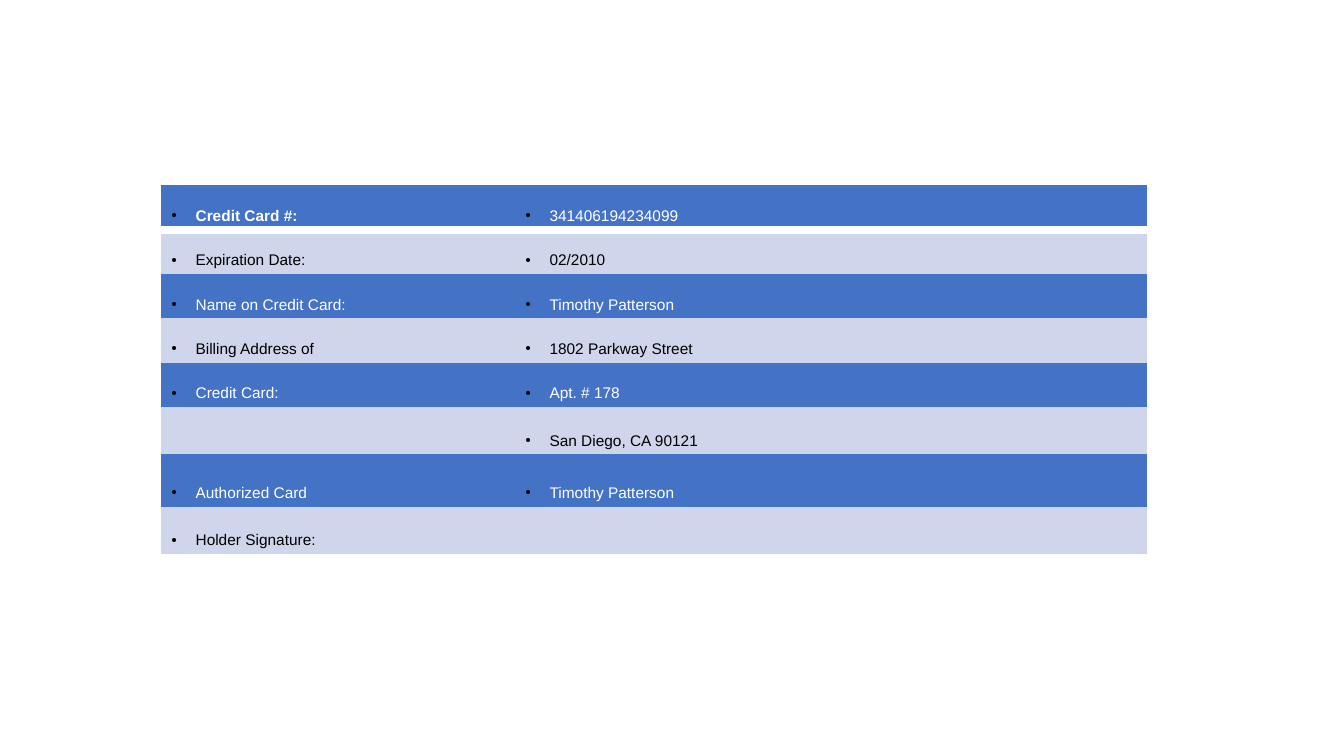
from lxml.etree import SubElement
from pptx import Presentation
from pptx.dml.color import RGBColor
from pptx.enum.text import MSO_ANCHOR
from pptx.oxml import parse_xml
from pptx.oxml.ns import nsdecls, qn
from pptx.util import Inches, Pt

BLUE = RGBColor(0x44, 0x72, 0xC4)
PALE = RGBColor(0xCF, 0xD5, 0xEA)
WHITE = RGBColor(255, 255, 255)
BLACK = RGBColor(0, 0, 0)
PLAIN = "{2D5ABB26-0587-4C30-8999-92F81FD0307C}"
HANG = Inches(0.24)

COLS = [3.51, 6.27]
ROWS = [0.44] * 5 + [0.47, 0.52, 0.47]
CARD = [
    ("Credit Card #:", "341406194234099"),
    ("Expiration Date:", "02/2010"),
    ("Name on Credit Card:", "Timothy Patterson"),
    ("Billing Address of", "1802 Parkway Street"),
    ("Credit Card:", "Apt. # 178"),
    ("", "San Diego, CA 90121"),
    ("Authorized Card", "Timothy Patterson"),
    ("Holder Signature:", ""),
]


def add_bullet(para):
    props = para._p.get_or_add_pPr()
    props.set("marL", str(HANG))
    props.set("indent", str(-HANG))
    tint = SubElement(props, qn("a:buClr"))
    SubElement(tint, qn("a:srgbClr")).set("val", str(BLACK))
    SubElement(props, qn("a:buSzPct")).set("val", "45000")
    SubElement(props, qn("a:buChar")).set("char", "●")


def add_rule(cell):
    rule = parse_xml(
        f'<a:lnB {nsdecls("a")} w="{Pt(6)}"><a:solidFill>'
        f'<a:srgbClr val="{WHITE}"/></a:solidFill></a:lnB>'
    )
    cell._tc.get_or_add_tcPr().insert(0, rule)


def fill_cell(cell, text, fill, ink, bold):
    cell.fill.solid()
    cell.fill.fore_color.rgb = fill
    cell.vertical_anchor = MSO_ANCHOR.BOTTOM
    if not text:
        return
    para = cell.text_frame.paragraphs[0]
    add_bullet(para)
    run = para.add_run()
    run.text = text
    font = run.font
    font.name, font.size, font.bold = "Arial", Pt(11), bold
    font.color.rgb = ink


def add_card(slide, left, top):
    frame = slide.shapes.add_table(
        len(ROWS), len(COLS), Inches(left), Inches(top),
        Inches(sum(COLS)), Inches(sum(ROWS)))
    table = frame.table
    table.first_row = table.horz_banding = False
    table._tbl.tblPr.find(qn("a:tableStyleId")).text = PLAIN
    for col, width in zip(table.columns, COLS):
        col.width = Inches(width)
    for row, height in zip(table.rows, ROWS):
        row.height = Inches(height)
    for r, texts in enumerate(CARD):
        fill, ink = (PALE, BLACK) if r % 2 else (BLUE, WHITE)
        for c, text in enumerate(texts):
            fill_cell(table.cell(r, c), text, fill, ink, r == c == 0)
    for cell in table.rows[0].cells:
        add_rule(cell)


def main():
    deck = Presentation()
    deck.slide_width, deck.slide_height = Inches(13.33), Inches(7.5)
    slide = deck.slides.add_slide(deck.slide_layouts[6])
    add_card(slide, 1.6, 1.84)
    deck.save("out.pptx")


if __name__ == "__main__":
    main()
